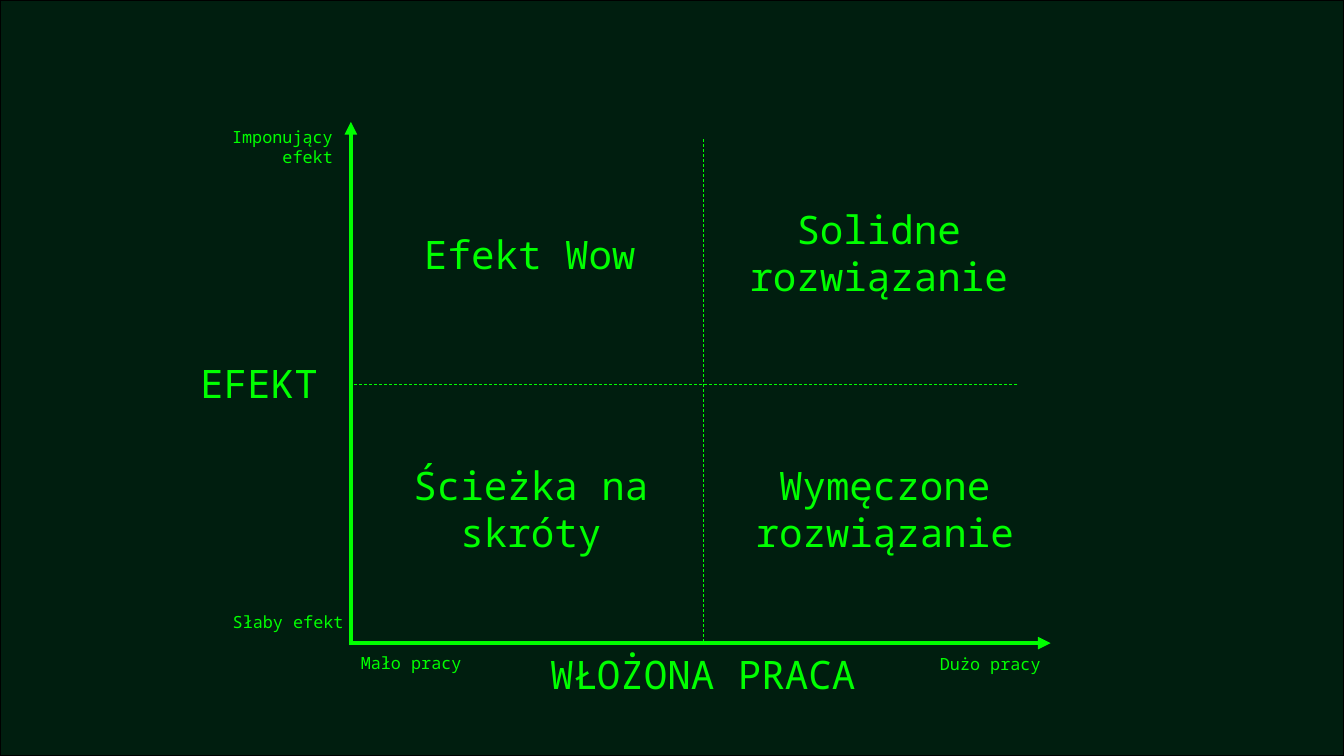
from dataclasses import dataclass

from lxml import etree
from pptx import Presentation
from pptx import util as u
from pptx.dml.color import RGBColor
from pptx.enum import dml, shapes, text
from pptx.oxml.ns import qn


@dataclass(frozen=True)
class Theme:
    background: RGBColor = RGBColor(0x00, 0x1E, 0x0F)
    border: RGBColor = RGBColor(0x00, 0x00, 0x00)
    accent: RGBColor = RGBColor(0x00, 0xFF, 0x00)
    font: str = "Noto Sans Mono"
    large: int = 28
    small: int = 12
    axis_width: float = 3
    guide_width: float = 0.5


LEFT = text.PP_ALIGN.LEFT
CENTER = text.PP_ALIGN.CENTER
RIGHT = text.PP_ALIGN.RIGHT
TOP = text.MSO_ANCHOR.TOP
MIDDLE = text.MSO_ANCHOR.MIDDLE


def write_text(frame, words, *, size, color, font, align=LEFT, anchor=TOP):
    frame.word_wrap = True
    frame.vertical_anchor = anchor
    paragraph = frame.paragraphs[0]
    paragraph.alignment = align
    run = paragraph.add_run()
    run.text = words
    run.font.size = u.Pt(size)
    run.font.color.rgb = color
    run.font.name = font
    effects = etree.Element(qn("a:effectLst"))
    shadow = etree.SubElement(effects, qn("a:outerShdw"), blurRad="38100",
                              dist="38100", dir="2700000", algn="tl")
    shadow_color = etree.SubElement(shadow, qn("a:srgbClr"), val=str(color))
    etree.SubElement(shadow_color, qn("a:alpha"), val="40000")
    run.font._element.find(qn("a:solidFill")).addnext(effects)


class MatrixSlide:
    def __init__(self, presentation, theme):
        self.theme = theme
        self.presentation = presentation
        self.slide = presentation.slides.add_slide(presentation.slide_layouts[6])

    def backdrop(self):
        shape = self.slide.shapes.add_shape(
            shapes.MSO_SHAPE.RECTANGLE, 0, 0,
            self.presentation.slide_width, self.presentation.slide_height)
        shape.shadow.inherit = False
        shape.fill.solid()
        shape.fill.fore_color.rgb = self.theme.background
        shape.line.color.rgb = self.theme.border
        shape.line.width = u.Pt(1)

    def line(self, start, end, width):
        connector = self.slide.shapes.add_connector(
            shapes.MSO_CONNECTOR.STRAIGHT, *map(u.Inches, start + end))
        connector.line.color.rgb = self.theme.accent
        connector.line.width = u.Pt(width)
        etree.SubElement(connector._element.spPr, qn("a:effectLst"))
        return connector

    def axis(self, start, end):
        connector = self.line(start, end, self.theme.axis_width)
        etree.SubElement(connector.line._get_or_add_ln(), qn("a:tailEnd"), type="triangle")

    def guide(self, start, end):
        connector = self.line(start, end, self.theme.guide_width)
        connector.line.dash_style = dml.MSO_LINE.DASH

    def label(self, words, box, size, **placement):
        shape = self.slide.shapes.add_textbox(*map(u.Inches, box))
        write_text(shape.text_frame, words, size=size, color=self.theme.accent,
                   font=self.theme.font, **placement)


def main():
    presentation = Presentation()
    presentation.slide_width = u.Inches(13.33)
    presentation.slide_height = u.Inches(7.5)
    theme = Theme()
    matrix = MatrixSlide(presentation, theme)

    matrix.backdrop()
    matrix.axis((3.48, 6.4), (3.48, 1.21))
    matrix.axis((3.47, 6.38), (10.42, 6.38))
    matrix.guide((10.09, 3.81), (3.48, 3.81))
    matrix.guide((6.98, 1.38), (6.98, 6.36))

    matrix.label("EFEKT", (1.1, 3.52, 2.15, 0.57), theme.large, align=RIGHT)
    matrix.label("WŁOŻONA PRACA", (5.14, 6.4, 3.66, 0.57), theme.large, align=CENTER)

    quadrants = [
        ("Efekt Wow", (3.7, 2.23, 3.11, 0.57)),
        ("Solidne rozwiązanie", (7.27, 1.98, 2.89, 1.04)),
        ("Ścieżka na skróty", (3.64, 4.52, 3.25, 1.04)),
        ("Wymęczone rozwiązanie", (7.17, 4.52, 3.21, 1.04)),
    ]
    for words, box in quadrants:
        matrix.label(words, box, theme.large, align=CENTER, anchor=MIDDLE)

    axis_ends = [
        ("Imponujący efekt", (2.1, 1.21, 1.3, 0.5), RIGHT),
        ("Słaby efekt", (2.21, 6.02, 1.3, 0.5), LEFT),
        ("Mało pracy", (3.48, 6.43, 1.3, 0.3), LEFT),
        ("Dużo pracy", (9.12, 6.44, 1.3, 0.3), RIGHT),
    ]
    for words, box, align in axis_ends:
        matrix.label(words, box, theme.small, align=align)

    presentation.save("out.pptx")


if __name__ == "__main__":
    main()
